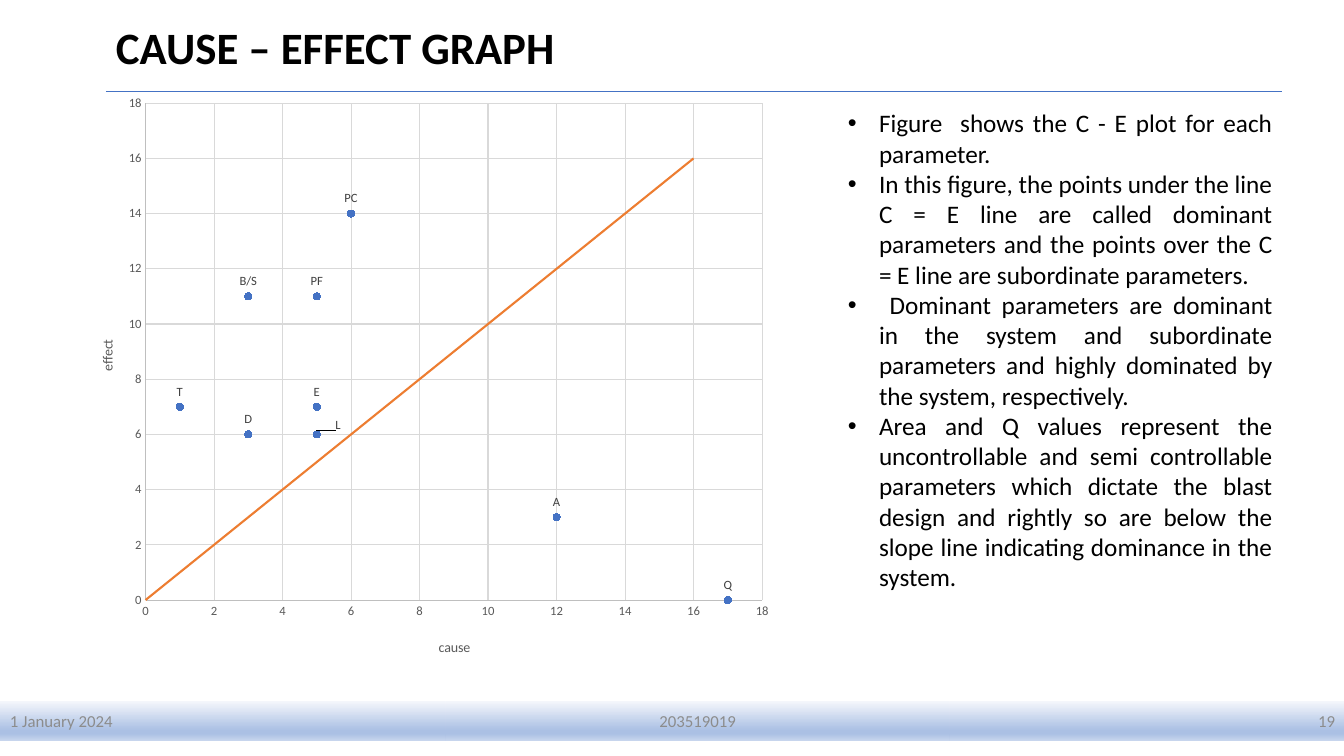
from dataclasses import dataclass

from lxml.etree import SubElement as Sub
from pptx import Presentation
from pptx.chart.data import XyChartData
from pptx.dml.color import RGBColor
from pptx.enum.chart import XL_CHART_TYPE as Kind
from pptx.enum.chart import XL_LABEL_POSITION as Pos
from pptx.enum.chart import XL_MARKER_STYLE as Mark
from pptx.enum.chart import XL_TICK_MARK as Tick
from pptx.enum.shapes import MSO_CONNECTOR as Conn
from pptx.enum.shapes import MSO_SHAPE as Shape
from pptx.enum.text import MSO_ANCHOR as Anchor
from pptx.enum.text import PP_ALIGN as Align
from pptx.oxml.ns import qn
from pptx.util import Inches, Pt


@dataclass(frozen=True)
class Theme:
    face: str = "Calibri"
    ink: str = "000000"
    foot: str = "8C8C8C"
    label: str = "404040"
    tick: str = "595959"
    axis: str = "BFBFBF"
    grid: str = "D9D9D9"
    dot: str = "4472C4"
    slope: str = "ED7D31"
    fade: tuple = ((0, "F6F8FC"), (74, "ABC0E4"), (83, "ABC0E4"), (100, "C7D5ED"))
    head_pt: int = 32
    body_pt: int = 18
    foot_pt: int = 12
    title_pt: int = 10
    small_pt: int = 9


POINTS = [("Q", 17, 0), ("B/S", 3, 11), ("A", 12, 3), ("D", 3, 6), ("PF", 5, 11),
          ("PC", 6, 14), ("L", 5, 6), ("T", 1, 7), ("E", 5, 8 - 1)]
SLOPE = [(0, 0), (16, 16)]
NOTES = [
    "Figure  shows the C - E plot for each parameter.",
    "In this figure, the points under the line C = E line are called dominant "
    "parameters and the points over the C = E line are subordinate parameters.",
    " Dominant parameters are dominant in the system and subordinate parameters "
    "and highly dominated by the system, respectively.",
    "Area and Q values represent the uncontrollable and semi controllable "
    "parameters which dictate the blast design and rightly so are below the "
    "slope line indicating dominance in the system.",
]
FOOTER = [("1 January 2024", 4.42, Align.LEFT), ("203519019", 5, Align.CENTER),
          ("19", 3.92, Align.RIGHT)]


def place(node, at, **modes):
    """Give a chart element a manual layout; at holds fractions of the chart."""
    for old in node.findall(qn("c:layout")):
        node.remove(old)
    layout = node.makeelement(qn("c:layout"))
    first = node[0].tag if len(node) else ""
    node.insert(int(first in (qn("c:tx"), qn("c:idx"))), layout)
    manual = Sub(layout, qn("c:manualLayout"))
    for key, val in {**modes, **dict(zip("xywh", at))}.items():
        Sub(manual, qn(f"c:{key}")).set("val", str(val))


class Board:
    def __init__(self, slide, theme):
        self.slide, self.theme = slide, theme

    def style(self, font, size, color, bold=False):
        font.name, font.size, font.bold = self.theme.face, Pt(size), bold
        font.color.rgb = RGBColor.from_string(color)

    def stroke(self, line, color, width):
        line.color.rgb = RGBColor.from_string(color)
        line.width = Pt(width)

    def title(self, text, box):
        head = self.slide.shapes.title
        head.left, head.top, head.width, head.height = map(Inches, box)
        frame = head.text_frame
        frame.text, frame.word_wrap = text, True
        frame.vertical_anchor = Anchor.TOP
        para = frame.paragraphs[0]
        para.alignment = Align.LEFT
        self.style(para.font, self.theme.head_pt, self.theme.ink, True)

    def rule(self, left, right, top):
        line = self.slide.shapes.add_connector(
            Conn.STRAIGHT, *map(Inches, (left, top, right, top)))
        self.stroke(line.line, self.theme.dot, 0.5)
        Sub(line._element.spPr, qn("a:effectLst"))

    def band(self, text, box, align):
        """Draw one footer cell with a vertical fade."""
        cell = self.slide.shapes.add_shape(Shape.RECTANGLE, *map(Inches, box))
        cell.shadow.inherit = False
        cell.line.fill.background()
        cell.fill.gradient()
        cell.fill.gradient_angle = 270
        stops = cell._element.spPr.find(qn("a:gradFill")).find(qn("a:gsLst"))
        stops.clear()
        for pct, color in self.theme.fade:
            stop = Sub(stops, qn("a:gs"), pos=str(pct * 1000))
            Sub(stop, qn("a:srgbClr"), val=color)
        cell.text_frame.text = text
        cell.text_frame.vertical_anchor = Anchor.MIDDLE
        para = cell.text_frame.paragraphs[0]
        para.alignment = align
        self.style(para.font, self.theme.foot_pt, self.theme.foot)

    def bullets(self, items, box):
        frame = self.slide.shapes.add_textbox(*map(Inches, box)).text_frame
        frame.word_wrap = True
        frame.text = "\n".join(items)
        for para in frame.paragraphs:
            para.alignment = Align.JUSTIFY
            self.style(para.font, self.theme.body_pt, self.theme.ink)
            props = para._p.get_or_add_pPr()
            props.set("marL", str(Inches(0.31)))
            props.set("indent", str(-Inches(0.31)))
            mark = props.makeelement(qn("a:buChar"), char="•")
            props.insert(0, mark)
            face = props.makeelement(qn("a:buFont"), typeface="Arial")
            props.insert(0, face)

    def axis(self, axis, name, at):
        look = self.theme
        axis.minimum_scale, axis.maximum_scale, axis.major_unit = 0, 18, 2
        axis.major_tick_mark = axis.minor_tick_mark = Tick.NONE
        axis.has_major_gridlines = True
        self.stroke(axis.major_gridlines.format.line, look.grid, 0.75)
        self.stroke(axis.format.line, look.axis, 0.75)
        self.style(axis.tick_labels.font, look.small_pt, look.tick)
        frame = axis.axis_title.text_frame
        frame.text = name
        self.style(frame.paragraphs[0].font, look.title_pt, look.tick)
        place(axis.axis_title._element, at, xMode="edge", yMode="edge")

    def label(self, point, text):
        tag = point.data_label
        tag.text_frame.text = text
        run = tag.text_frame.paragraphs[0].runs[0]
        self.style(run.font, self.theme.small_pt, self.theme.label)
        tag.position = Pos.ABOVE
        return tag

    def scatter(self, box):
        look, data = self.theme, XyChartData()
        for name, pairs in (("Series 1", [p[1:] for p in POINTS]), ("Series 2", SLOPE)):
            series = data.add_series(name)
            for x, y in pairs:
                series.add_data_point(x, y)
        chart = self.slide.shapes.add_chart(
            Kind.XY_SCATTER, *map(Inches, box), data).chart
        chart.has_legend = chart.has_title = False
        self.style(chart.font, look.title_pt, look.ink)
        chart.plots[0].vary_by_categories = False
        self.axis(chart.category_axis, "cause", (0.51, 0.94))
        self.axis(chart.value_axis, "effect", (0.03, 0.43))
        place(chart._chartSpace.chart.plotArea, (0.1, 0.03, 0.87, 0.85),
              layoutTarget="inner", xMode="edge", yMode="edge")

        dots, slope = chart.plots[0].series
        dots.smooth = slope.smooth = False
        dots.format.line.fill.background()
        dots.marker.style, dots.marker.size = Mark.CIRCLE, 5
        dots.marker.format.fill.solid()
        dots.marker.format.fill.fore_color.rgb = RGBColor.from_string(look.dot)
        self.stroke(dots.marker.format.line, look.dot, 0.75)
        for i, (name, _, _) in enumerate(POINTS):
            tag = self.label(dots.points[i], name)
            if name == "L":  # keep clear of the point E above it
                place(tag._dLbl, (0.03, 0.01))
        slope.marker.style = Mark.NONE
        self.stroke(slope.format.line, look.slope, 1.5)


def main():
    deck = Presentation()
    deck.slide_width, deck.slide_height = Inches(13.33), Inches(7.5)
    board = Board(deck.slides.add_slide(deck.slide_layouts[5]), Theme())
    left = 0
    for text, width, align in FOOTER:
        board.band(text, (left, 6.95, width, 0.4), align)
        left += width
    board.bullets(NOTES, (8.31, 1.02, 4.41, 5.25))
    board.scatter((0.74, 0.85, 7.03, 5.8))
    board.title("CAUSE – EFFECT GRAPH", (1.05, 0.15, 6.06, 0.64))
    board.rule(1.05, 12.72, 0.91)
    deck.save("out.pptx")


if __name__ == "__main__":
    main()
